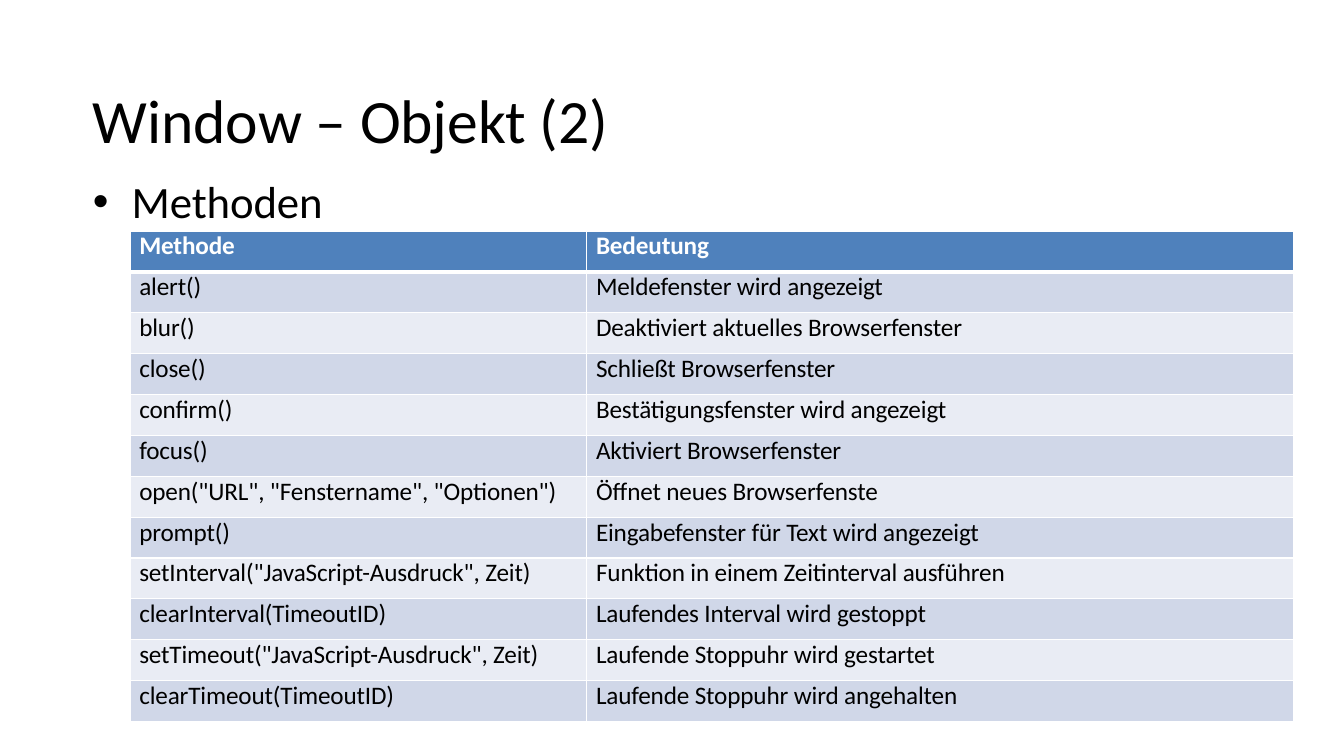
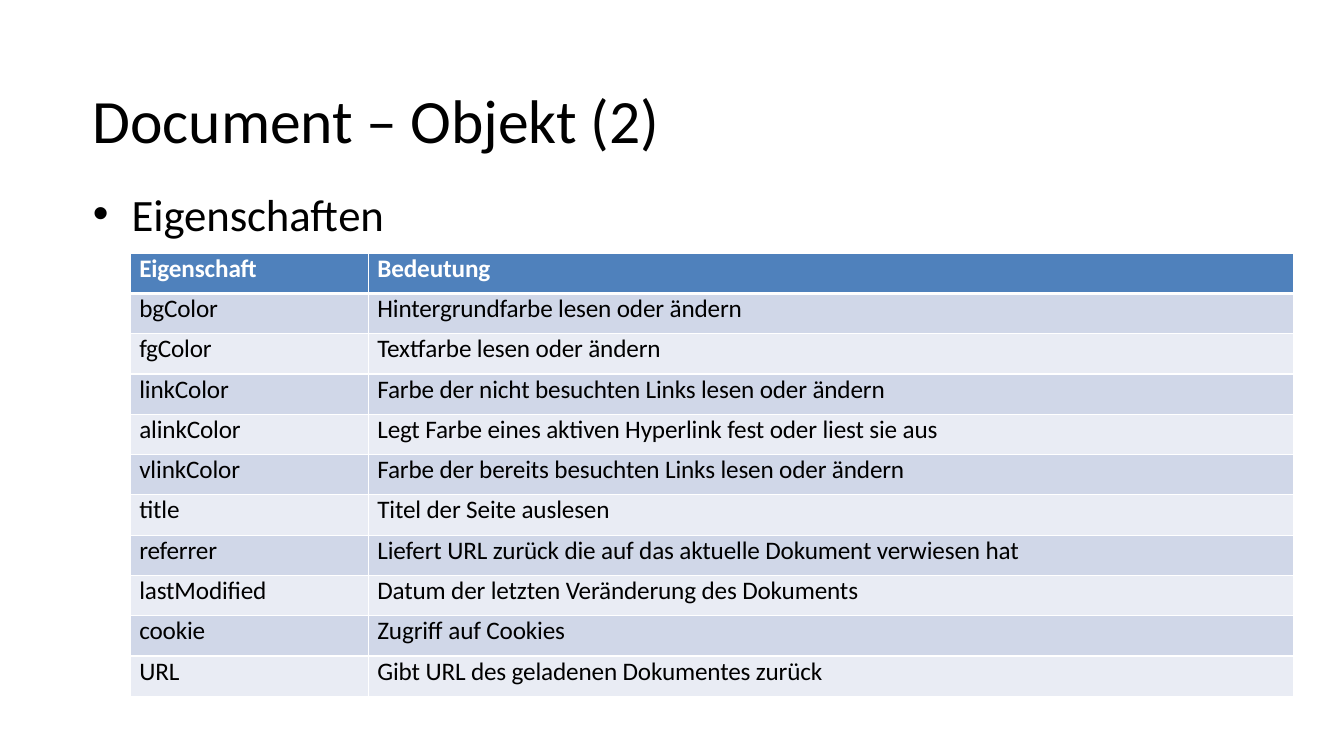
from dataclasses import dataclass

from lxml.etree import SubElement
from pptx import Presentation
from pptx.dml.color import RGBColor
from pptx.enum.text import MSO_ANCHOR
from pptx.oxml.ns import qn
from pptx.util import Cm, Pt


@dataclass(frozen=True)
class Theme:
    font: str = "Calibri"
    ink: str = "000000"
    paper: str = "FFFFFF"
    header: str = "4F81BC"
    bands: tuple = ("D0D7E8", "E9ECF4")
    title_size: int = 44
    bullet_size: int = 32
    cell_size: int = 18
    tracking: float = -0.1
    thin: int = 1
    thick: int = 3


THEME = Theme()

SLIDES = [
    dict(
        title="Window – Objekt (2)",
        bullet="Methoden",
        bullet_top=4.39, bullet_width=5.87,
        table_top=5.82, table_height=12.37, first_column=11.51,
        rows=[
            ("Methode", "Bedeutung"),
            ("alert()", "Meldefenster wird angezeigt"),
            ("blur()", "Deaktiviert aktuelles Browserfenster"),
            ("close()", "Schließt Browserfenster"),
            ("confirm()", "Bestätigungsfenster wird angezeigt"),
            ("focus()", "Aktiviert Browserfenster"),
            ('open("URL", "Fenstername", "Optionen")', "Öffnet neues Browserfenste"),
            ("prompt()", "Eingabefenster für Text wird angezeigt"),
            ('setInterval("JavaScript-Ausdruck", Zeit)', "Funktion in einem Zeitinterval ausführen"),
            ("clearInterval(TimeoutID)", "Laufendes Interval wird gestoppt"),
            ('setTimeout("JavaScript-Ausdruck", Zeit)', "Laufende Stoppuhr wird gestartet"),
            ("clearTimeout(TimeoutID)", "Laufende Stoppuhr wird angehalten"),
        ],
    ),
    dict(
        title="Document – Objekt (2)",
        bullet="Eigenschaften",
        bullet_top=4.7, bullet_width=7.44,
        table_top=6.38, table_height=11.17, first_column=6,
        rows=[
            ("Eigenschaft", "Bedeutung"),
            ("bgColor", "Hintergrundfarbe lesen oder ändern"),
            ("fgColor", "Textfarbe lesen oder ändern"),
            ("linkColor", "Farbe der nicht besuchten Links lesen oder ändern"),
            ("alinkColor", "Legt Farbe eines aktiven Hyperlink fest oder liest sie aus"),
            ("vlinkColor", "Farbe der bereits besuchten Links lesen oder ändern"),
            ("title", "Titel der Seite auslesen"),
            ("referrer", "Liefert URL zurück die auf das aktuelle Dokument verwiesen hat"),
            ("lastModified", "Datum der letzten Veränderung des Dokuments"),
            ("cookie", "Zugriff auf Cookies"),
            ("URL", "Gibt URL des geladenen Dokumentes zurück"),
        ],
    ),
]

MARGIN_LEFT = 2.34
TABLE_LEFT, TABLE_WIDTH = 3.28, 29.31
CELL_INSET = 0.23
BULLET_INDENT = 0.98


def write(frame, text, *, size, color=THEME.ink, bold=False, bullet=False):
    paragraph = frame.paragraphs[0]
    if bullet:
        properties = paragraph._p.get_or_add_pPr()
        properties.set("marL", str(Cm(BULLET_INDENT)))
        properties.set("indent", str(-Cm(BULLET_INDENT)))
        SubElement(properties, qn("a:buFont"), typeface="Arial")
        SubElement(properties, qn("a:buChar"), char="•")
    run = paragraph.add_run()
    run.text = text
    run.font.name = THEME.font
    run.font.size = Pt(size)
    run.font.bold = bold
    run.font.color.rgb = RGBColor.from_string(color)
    run.font._element.set("spc", str(round(THEME.tracking * 100)))


def add_text(slide, text, left, top, width, height, anchor=MSO_ANCHOR.TOP, **style):
    frame = slide.shapes.add_textbox(Cm(left), Cm(top), Cm(width), Cm(height)).text_frame
    frame.word_wrap = True
    frame.vertical_anchor = anchor
    frame.margin_left = frame.margin_top = frame.margin_right = frame.margin_bottom = 0
    write(frame, text, **style)


def set_borders(cell, **widths):
    properties = cell._tc.get_or_add_tcPr()
    for side in "LRTB":
        border = SubElement(properties, qn(f"a:ln{side}"), w=str(Pt(widths.get(side, THEME.thin))))
        fill = SubElement(border, qn("a:solidFill"))
        SubElement(fill, qn("a:srgbClr"), val=THEME.paper)


def style_cell(cell, text, row):
    is_header = row == 0
    heavy_side = {0: {"B": THEME.thick}, 1: {"T": THEME.thick}}
    set_borders(cell, **heavy_side.get(row, {}))
    cell.fill.solid()
    cell.fill.fore_color.rgb = RGBColor.from_string(
        THEME.header if is_header else THEME.bands[(row - 1) % 2])
    cell.margin_left = Cm(CELL_INSET)
    cell.margin_top = cell.margin_right = cell.margin_bottom = 0
    write(cell.text_frame, text, size=THEME.cell_size, bold=is_header,
          color=THEME.paper if is_header else THEME.ink)


def add_reference(slide, rows, top, height, first_column):
    reference = slide.shapes.add_table(
        len(rows), 2, Cm(TABLE_LEFT), Cm(top), Cm(TABLE_WIDTH), Cm(height)).table
    reference.first_row = reference.horz_banding = False
    for column, width in zip(reference.columns, (first_column, TABLE_WIDTH - first_column)):
        column.width = Cm(width)
    for row, entries in enumerate(rows):
        reference.rows[row].height = Cm(height / len(rows))
        for column, text in enumerate(entries):
            style_cell(reference.cell(row, column), text, row)


def main():
    presentation = Presentation()
    presentation.slide_width, presentation.slide_height = Cm(33.87), Cm(19.05)
    for content in SLIDES:
        slide = presentation.slides.add_slide(presentation.slide_layouts[6])
        add_text(slide, content["title"], MARGIN_LEFT, 1.27, 29.21, 3.43,
                 anchor=MSO_ANCHOR.MIDDLE, size=THEME.title_size)
        add_text(slide, content["bullet"], MARGIN_LEFT, content["bullet_top"],
                 content["bullet_width"], 1.45, size=THEME.bullet_size, bullet=True)
        add_reference(slide, content["rows"], content["table_top"],
                      content["table_height"], content["first_column"])
    presentation.save("out.pptx")


if __name__ == "__main__":
    main()
